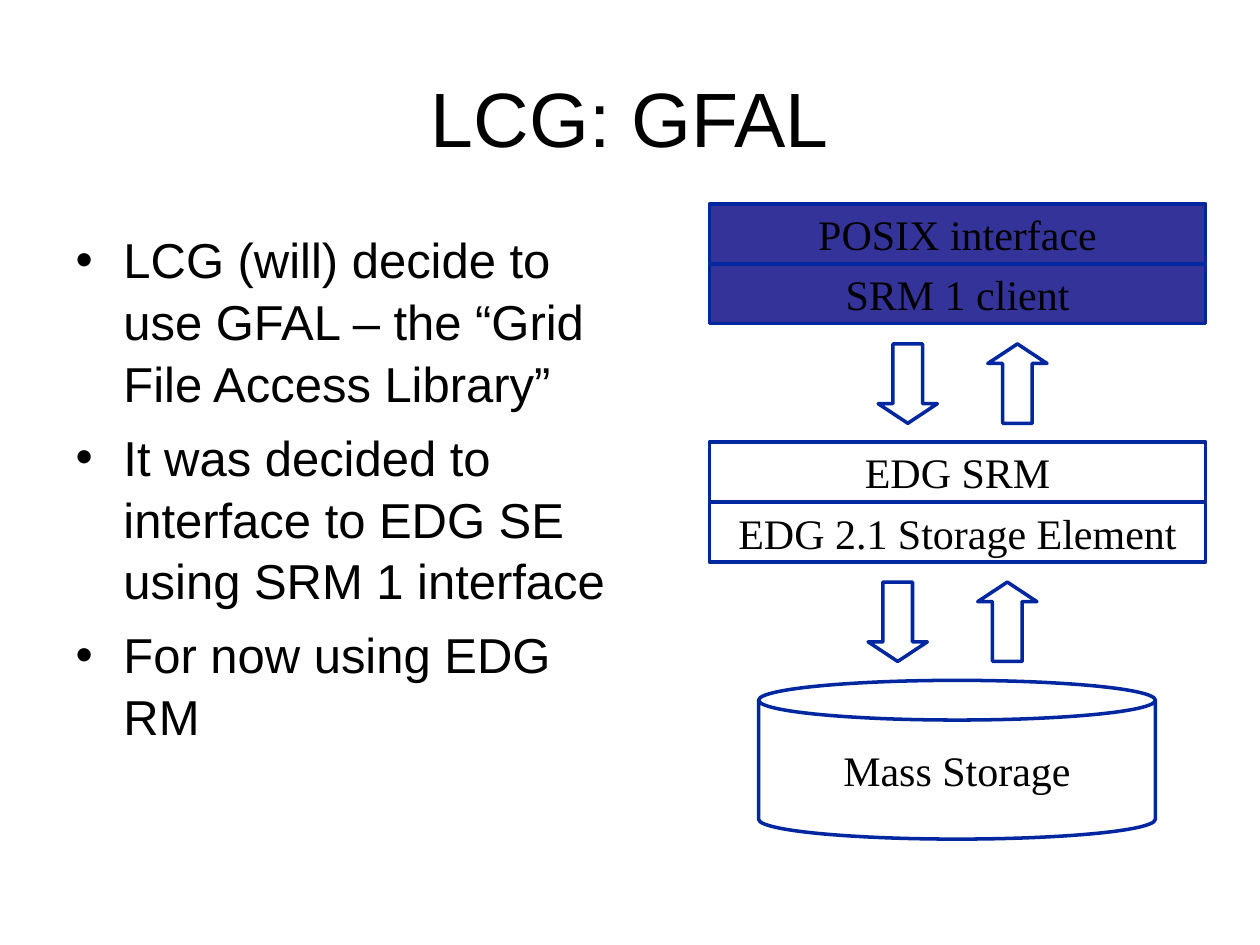
from lxml import etree
from pptx import Presentation
from pptx.dml.color import RGBColor
from pptx.enum.shapes import MSO_SHAPE as Shape
from pptx.enum.text import MSO_ANCHOR as Anchor, MSO_AUTO_SIZE as AutoSize, PP_ALIGN as Align
from pptx.oxml.ns import qn
from pptx.util import Inches, Pt

COLORS = {"text": "000000", "client": "333399", "outline": "00279F"}
LAYER_LEFT, LAYER_WIDTH, LAYER_HEIGHT = 5.63, 3.94, 0.47


def add_text(para, text, font, size):
    span = para.add_run()
    span.text = text
    span.font.name = font
    span.font.size = Pt(size)
    span.font.color.rgb = RGBColor.from_string(COLORS["text"])


def add_outlined(kind, left, top, width, height, text="", fill=None):
    """Add a blue-outlined shape, hollow unless a fill is named."""
    shape = page.shapes.add_shape(kind, Inches(left), Inches(top), Inches(width), Inches(height))
    shape.shadow.inherit = False
    if fill:
        shape.fill.solid()
        shape.fill.fore_color.rgb = RGBColor.from_string(COLORS[fill])
    else:
        shape.fill.background()
    shape.line.color.rgb = RGBColor.from_string(COLORS["outline"])
    shape.line.width = Pt(2)
    if text:
        frame = shape.text_frame
        frame.word_wrap = False
        frame.vertical_anchor = Anchor.MIDDLE
        para = frame.paragraphs[0]
        para.alignment = Align.CENTER
        add_text(para, text, "Times New Roman", 24)
    return shape


deck = Presentation()
deck.slide_width, deck.slide_height = Inches(10), Inches(7.5)
page = deck.slides.add_slide(deck.slide_layouts[1])

# Title
title = page.shapes.title
title.left, title.top, title.width, title.height = Inches(0.5), Inches(0.3), Inches(9), Inches(1.25)
title.text_frame.auto_size = AutoSize.NONE
title.text_frame.vertical_anchor = Anchor.MIDDLE
para = title.text_frame.paragraphs[0]
para.alignment = Align.CENTER
add_text(para, "LCG: GFAL", "Arial", 44)

# Bullet list
body = page.placeholders[1]
body.left, body.top, body.width, body.height = Inches(0.5), Inches(1.75), Inches(4.42), Inches(4.95)
body.text_frame.auto_size = AutoSize.NONE
points = [
    "LCG (will) decide to use GFAL – the “Grid File Access Library”",
    "It was decided to interface to EDG SE using SRM 1 interface",
    "For now using EDG RM",
]
for index, point in enumerate(points):
    para = body.text_frame.paragraphs[0] if index == 0 else body.text_frame.add_paragraph()
    para.space_before = Pt(7 if index else 0)
    para.line_spacing = 1.05
    properties = para._p.get_or_add_pPr()
    properties.set("marL", str(Inches(0.38)))
    properties.set("indent", str(Inches(-0.38)))
    etree.SubElement(properties, qn("a:buFont")).set("typeface", "Arial")
    etree.SubElement(properties, qn("a:buChar")).set("char", "•")
    add_text(para, point, "Arial", 28)

# Software layers
layers = [
    (1.62, "POSIX interface", "client"),
    (2.1, "SRM 1 client", "client"),
    (3.51, "EDG SRM", None),
    (3.99, "EDG 2.1 Storage Element", None),
]
for top, label, fill in layers:
    add_outlined(Shape.RECTANGLE, LAYER_LEFT, top, LAYER_WIDTH, LAYER_HEIGHT, label, fill)

# Storage below the layers
add_outlined(Shape.CAN, 6.02, 5.4, 3.15, 1.26, "Mass Storage")

# Arrow pairs between the levels
for left, top in [(6.97, 2.73), (6.89, 4.62)]:
    for offset, kind in [(0, Shape.DOWN_ARROW), (0.87, Shape.UP_ARROW)]:
        arrow = add_outlined(kind, left + offset, top, 0.47, 0.63)
        arrow.adjustments[1] = 0.33

deck.save("out.pptx")
